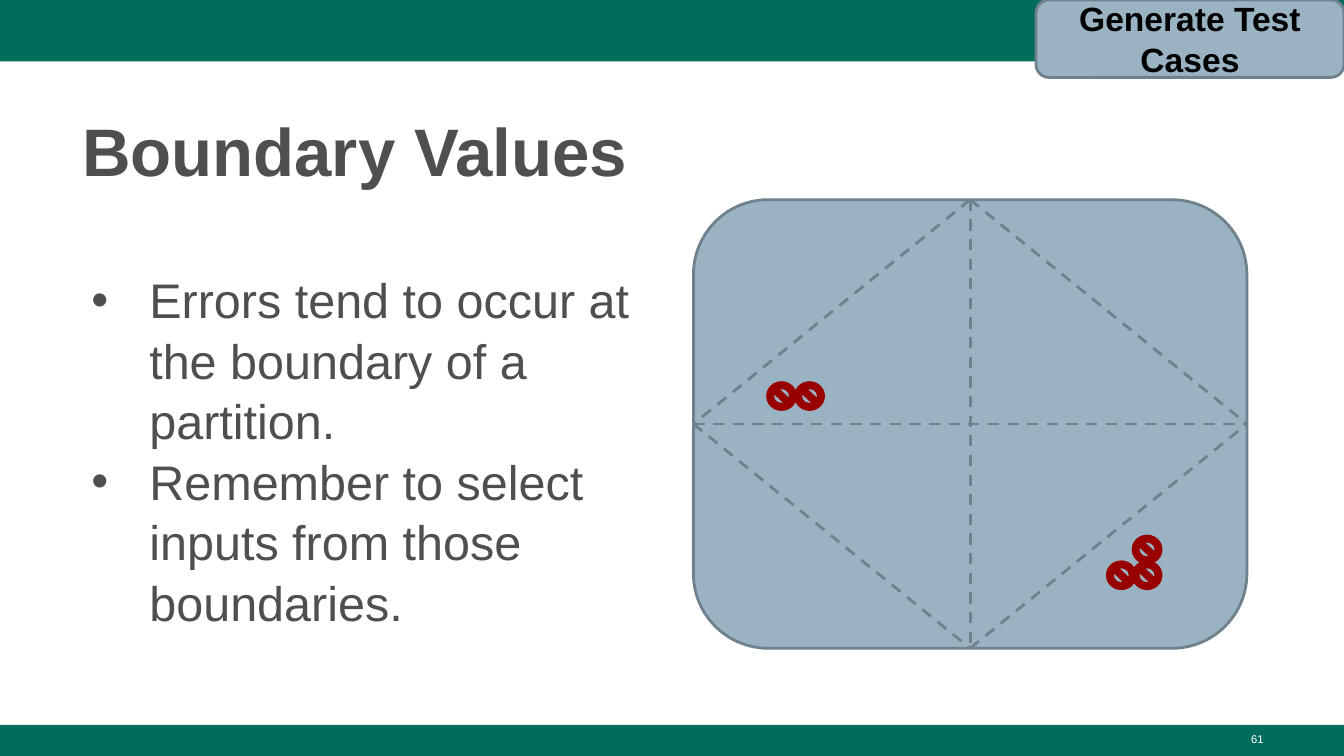
"""Build the Boundary Values slide with its partition diagram."""
from itertools import combinations
from typing import NamedTuple

from lxml import etree
from pptx import Presentation
from pptx import util as u
from pptx.dml.color import RGBColor
from pptx.enum import dml, shapes, text
from pptx.oxml import ns

GREEN = RGBColor(0x00, 0x6C, 0x5C)
GREY = RGBColor(0x4F, 0x4F, 0x4F)
BLUE = RGBColor(0x99, 0xB3, 0xC2)
SLATE = RGBColor(0x6F, 0x82, 0x8C)
RED = RGBColor(0x98, 0x00, 0x00)
BLACK = RGBColor(0x00, 0x00, 0x00)
WHITE = RGBColor(0xFF, 0xFF, 0xFF)
FONT = "Arial"
Kind = shapes.MSO_SHAPE
Align = text.PP_ALIGN


class Area(NamedTuple):
    left: float
    top: float
    width: float
    height: float

    def lengths(self) -> list:
        return [u.Pt(value) for value in self]


class Style(NamedTuple):
    size: float
    color: RGBColor
    bold: bool = False
    align: Align = Align.LEFT


PAGE_WIDTH, PAGE_HEIGHT = 720, 405
BANDS = [Area(0, 0, PAGE_WIDTH, 33), Area(0, 388.3, PAGE_WIDTH, 16.7)]
DOMAIN = Area(371.5, 107, 296.5, 240.3)
TAB = Area(555, 0, 165, 41.5)
ERROR_SPOTS = [(426.2, 205), (411.2, 205), (607, 301), (607, 287.2), (593.2, 301)]
BULLETS = [
    "Errors tend to occur at the boundary of a partition.",
    "Remember to select inputs from those boundaries.",
]


def add_figure(page, kind: Kind, area: Area, fill: RGBColor, line: RGBColor | None = None):
    figure = page.shapes.add_shape(kind, *area.lengths())
    figure.shadow.inherit = False
    figure.fill.solid()
    figure.fill.fore_color.rgb = fill
    if line is None:
        figure.line.fill.background()
    else:
        figure.line.color.rgb = line
        figure.line.width = u.Pt(1.5)
    return figure


def add_border(page, domain, begin: int, end: int) -> None:
    border = page.shapes.add_connector(shapes.MSO_CONNECTOR.STRAIGHT, 0, 0, 0, 0)
    border.begin_connect(domain, begin)
    border.end_connect(domain, end)
    border.line.color.rgb = SLATE
    border.line.width = u.Pt(1.5)
    border.line.dash_style = dml.MSO_LINE.DASH
    etree.SubElement(border._element.spPr, ns.qn("a:effectLst"))


def place(box, area: Area) -> None:
    box.left, box.top, box.width, box.height = area.lengths()


def write(box, lines: list[str], style: Style, spacing: float = 1, top: float = 3.6,
          anchor=text.MSO_ANCHOR.TOP, bullets: bool = False) -> None:
    frame = box.text_frame
    frame.word_wrap = True
    frame.auto_size = text.MSO_AUTO_SIZE.NONE
    frame.vertical_anchor = anchor
    frame.margin_top = u.Pt(top)
    frame.text = "\n".join(lines)
    for para in frame.paragraphs:
        para.alignment = style.align
        para.line_spacing = spacing
        para.space_before = u.Pt(0)
        if bullets:
            add_bullet(para)
        para.font.name = FONT
        para.font.size = u.Pt(style.size)
        para.font.bold = style.bold
        para.font.color.rgb = style.color


def add_bullet(para) -> None:
    properties = para._p.get_or_add_pPr()
    properties.set("marL", str(u.Pt(36)))
    properties.set("indent", str(u.Pt(-31)))
    color = etree.SubElement(properties, ns.qn("a:buClr"))
    etree.SubElement(color, ns.qn("a:srgbClr"), val=str(GREY))
    etree.SubElement(properties, ns.qn("a:buChar"), char="•")


def main() -> None:
    deck = Presentation()
    deck.slide_width, deck.slide_height = u.Pt(PAGE_WIDTH), u.Pt(PAGE_HEIGHT)
    page = deck.slides.add_slide(deck.slide_layouts[1])

    for band in BANDS:
        add_figure(page, Kind.RECTANGLE, band, GREEN)

    title, body = page.shapes.title, page.placeholders[1]
    place(title, Area(36.8, 48.2, 647.2, 52.6))
    write(title, ["Boundary Values"], Style(36, GREY, bold=True), spacing=1.08, top=7.2)
    place(body, Area(36.8, 100.8, 328.4, 274.4))
    write(body, BULLETS, Style(26, GREY), spacing=1.04, top=42.7, bullets=True)

    domain = add_figure(page, Kind.ROUNDED_RECTANGLE, DOMAIN, BLUE, SLATE)
    for left, top in ERROR_SPOTS:
        add_figure(page, Kind.NO_SYMBOL, Area(left, top, 15, 14.4), RED, RED)
    for begin, end in combinations(range(4), 2):
        add_border(page, domain, begin, end)

    number = page.shapes.add_textbox(*Area(516.2, 388.8, 167.8, 16.2).lengths())
    write(number, ["61"], Style(6, WHITE, align=Align.RIGHT))
    tab = add_figure(page, Kind.ROUNDED_RECTANGLE, TAB, BLUE, SLATE)
    tab.text_frame.margin_bottom = u.Pt(7.2)
    write(tab, ["Generate Test Cases"], Style(18, BLACK, bold=True, align=Align.CENTER),
          top=7.2, anchor=text.MSO_ANCHOR.MIDDLE)

    deck.save("out.pptx")


if __name__ == "__main__":
    main()
